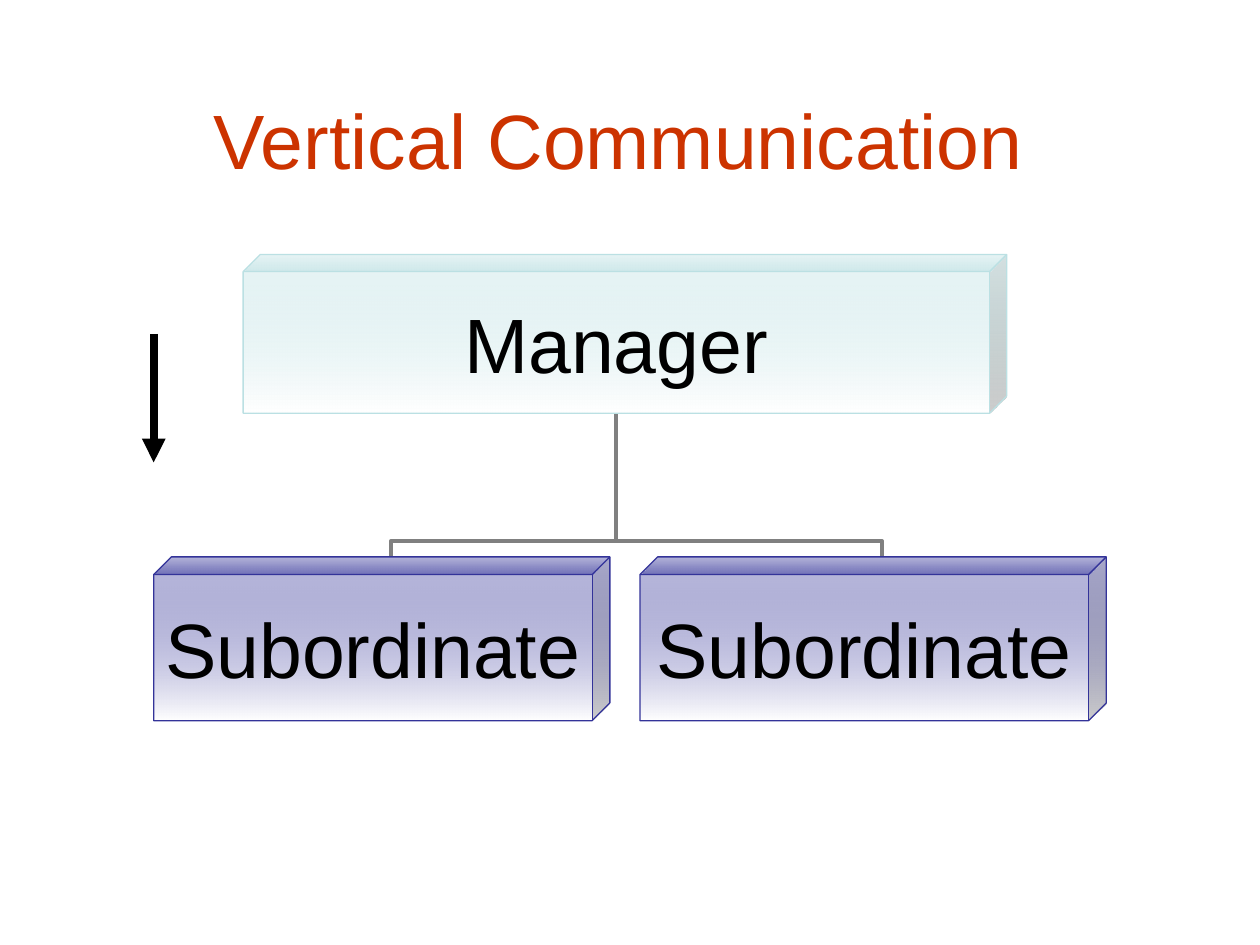
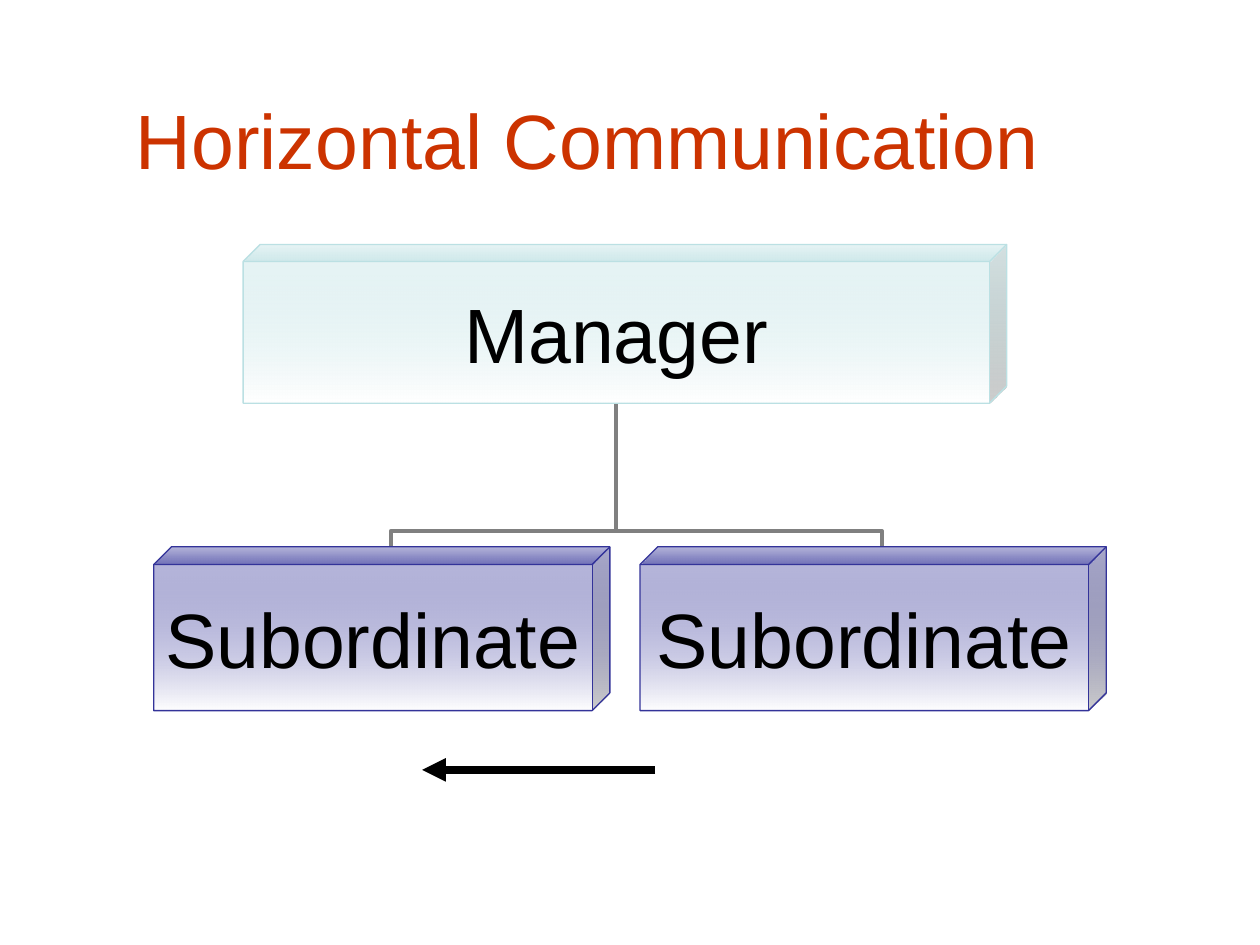
from lxml import etree
from pptx import Presentation, util as u
from pptx.dml.color import RGBColor
from pptx.enum import shapes, text
from pptx.oxml.ns import qn

THEME = {
    "font": "Arial", "size": 44,
    "title": "CC3300", "ink": "000000", "paper": "FFFFFF", "link": "808080",
    "manager": "BBE0E3", "subordinate": "333399",
    "edge": 0.75, "link_width": 2.25, "arrow_width": 4.5,
    "depth": 0.108, "tint": 40, "bend": 0.11,
}
SLIDE = (10, 7.5)
TITLE_LEFT, TITLE_TOP, TITLE_HEIGHT = 0.98, 0.68, 0.84
MANAGER = {"name": "Manager", "left": 1.93, "width": 6.06, "height": 1.26}
SUBORDINATES = [
    {"name": "Subordinate", "left": 1.22, "width": 3.62, "height": 1.3},
    {"name": "Subordinate", "left": 5.08, "width": 3.7, "height": 1.3},
]
LEVEL_GAP = 1.14
PAGES = [
    {"title": "Vertical Communication", "title_width": 7.24, "align": text.PP_ALIGN.RIGHT,
     "chart_top": 2.02, "arrow": (1.22, 2.65, 1.22, 3.67)},
    {"title": "Horizontal Communication", "title_width": 8.11, "align": text.PP_ALIGN.LEFT,
     "chart_top": 1.94, "arrow": (5.2, 6.11, 3.35, 6.11)},
]


def inches(*values):
    return [u.Inches(value) for value in values]


def color(name):
    return RGBColor.from_string(THEME[name])


def write(box, words, ink, align, margins, **frame_format):
    frame = box.text_frame
    sides = dict(zip(("margin_left", "margin_top", "margin_right", "margin_bottom"),
                     inches(*margins * 2)))
    for key, value in {**sides, **frame_format}.items():
        setattr(frame, key, value)
    para = frame.paragraphs[0]
    para.alignment = align
    span = para.add_run()
    span.text = words
    for key, value in {"name": THEME["font"], "size": u.Pt(THEME["size"])}.items():
        setattr(span.font, key, value)
    span.font.color.rgb = color(ink)


def add_line(page, kind, ends, ink, width):
    line = page.shapes.add_connector(kind, *inches(*ends))
    line.line.color.rgb = color(ink)
    line.line.width = u.Pt(THEME[width])
    etree.SubElement(line._element.spPr, qn("a:effectLst"))
    return line


def add_cube(page, role, top, part):
    cube = page.shapes.add_shape(shapes.MSO_SHAPE.CUBE,
                                 *inches(part["left"], top, part["width"], part["height"]))
    cube.shadow.inherit = False
    cube.adjustments[0] = THEME["depth"]
    cube.fill.gradient()
    cube.fill.gradient_angle = 270
    for stop, ink, place in zip(cube.fill.gradient_stops, (role, "paper"), (0, 1)):
        stop.color.rgb = color(ink)
        stop.position = place
    tint = cube._element.spPr.find(".//" + qn("a:srgbClr"))
    etree.SubElement(tint, qn("a:alpha"), val=str(THEME["tint"] * 1000))
    cube.line.color.rgb = color(role)
    cube.line.width = u.Pt(THEME["edge"])
    write(cube, part["name"], "ink", text.PP_ALIGN.CENTER, (0.09, 0.04),
          word_wrap=False, vertical_anchor=text.MSO_ANCHOR.MIDDLE)


def add_link(page, child_x, child_y, parent_x, parent_y):
    length, spread = child_y - parent_y, abs(child_x - parent_x)
    left = (child_x + parent_x - length) / 2
    top = (child_y + parent_y - spread) / 2
    right, bottom = left + length, top + spread
    if child_x < parent_x:
        ends, turn = (right, bottom, left, top), 90
    else:
        ends, turn = (left, bottom, right, top), 270
    link = add_line(page, shapes.MSO_CONNECTOR.ELBOW, ends, "link", "link_width")
    properties = link._element.spPr
    properties.find(qn("a:xfrm")).set("rot", str(turn * 60000))
    guides = properties.find(qn("a:prstGeom")).get_or_add_avLst()
    etree.SubElement(guides, qn("a:gd"), name="adj1", fmla=f"val {THEME['bend'] * 100000:.0f}")


def add_org_chart(page, top):
    manager_bottom = top + MANAGER["height"]
    child_top = manager_bottom + LEVEL_GAP
    manager_x = MANAGER["left"] + (MANAGER["width"] - THEME["depth"] * MANAGER["height"]) / 2
    for part in reversed(SUBORDINATES):
        child_x = part["left"] + (part["width"] + THEME["depth"] * part["height"]) / 2
        add_link(page, child_x, child_top, manager_x, manager_bottom)
    add_cube(page, "manager", top, MANAGER)
    for part in SUBORDINATES:
        add_cube(page, "subordinate", child_top, part)


def add_arrow(page, ends):
    arrow = add_line(page, shapes.MSO_CONNECTOR.STRAIGHT, ends, "ink", "arrow_width")
    etree.SubElement(arrow.line._get_or_add_ln(), qn("a:tailEnd"), type="triangle")


def add_title(page, content):
    box = page.shapes.add_textbox(
        *inches(TITLE_LEFT, TITLE_TOP, content["title_width"], TITLE_HEIGHT))
    write(box, content["title"], "title", content["align"], (0.1, 0.05),
          word_wrap=True, vertical_anchor=text.MSO_ANCHOR.BOTTOM)


def main():
    deck = Presentation()
    deck.slide_width, deck.slide_height = inches(*SLIDE)
    for content in PAGES:
        page = deck.slides.add_slide(deck.slide_layouts[6])
        add_org_chart(page, content["chart_top"])
        add_arrow(page, content["arrow"])
        add_title(page, content)
    deck.save("out.pptx")


if __name__ == "__main__":
    main()
